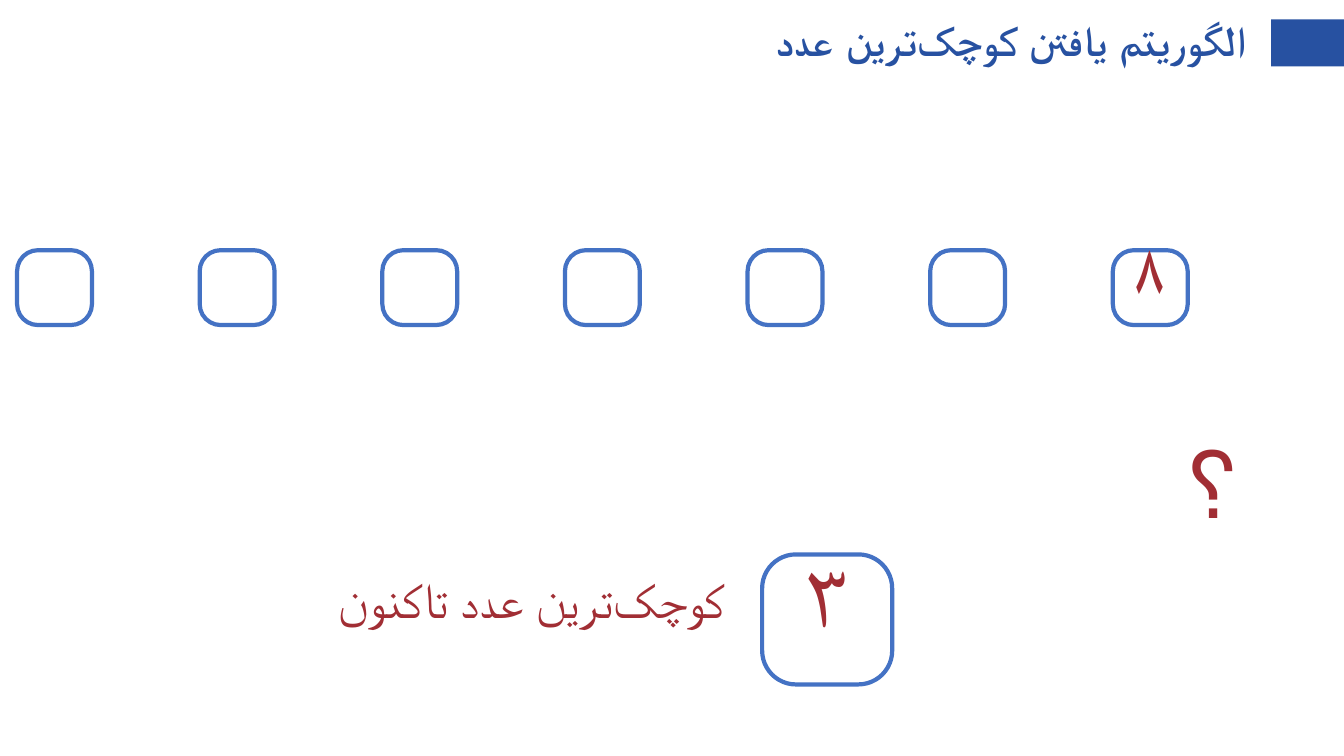
"""Build the slide on finding the smallest number in a row of boxes."""
from dataclasses import dataclass

from lxml.etree import SubElement
from pptx import Presentation
from pptx.dml.color import RGBColor
from pptx.enum.shapes import MSO_SHAPE as Preset
from pptx.enum.text import MSO_ANCHOR as Anchor
from pptx.enum.text import MSO_AUTO_SIZE as AutoSize
from pptx.enum.text import PP_ALIGN as Align
from pptx.oxml.ns import qn
from pptx.slide import Slide
from pptx.util import Pt


@dataclass(frozen=True)
class Theme:
    """Colours, fonts and sizes of the slide."""
    navy: str = "2751A1"
    outline: str = "4472C4"
    red: str = "A12E34"
    white: str = "FFFFFF"
    title_font: str = "Arial"
    body_font: str = "Lato"
    title_size: float = 30.1
    label_size: float = 35
    digit_size: float = 50
    smallest_size: float = 62
    question_size: float = 66
    line_width: float = 3


@dataclass(frozen=True)
class Frame:
    """Position and size in points."""
    left: float
    top: float
    width: float
    height: float

    def lengths(self) -> tuple[Pt, Pt, Pt, Pt]:
        """Return the four lengths for python-pptx."""
        return Pt(self.left), Pt(self.top), Pt(self.width), Pt(self.height)


@dataclass(frozen=True)
class Mark:
    """A red text at a place on the slide."""
    text: str
    frame: Frame
    size: float
    wrap: bool = False


THEME = Theme()
NON_JOINER = chr(0x200C)
SMALLEST = NON_JOINER.join(("کوچک", "ترین"))
CELL_COUNT = 7
CELL_PITCH = 130.45
FIRST_CELL = Frame(12.2, 178.7, 53.5, 53.5)
SMALLEST_CELL = Frame(544.4, 396, 92.9, 92.9)
TITLE_FRAME = Frame(66.2, 3.6, 828, 54)
BANNER_FRAME = Frame(907.9, 13.9, 52.1, 33.5)
MARKS = (
    Mark(f"{SMALLEST} عدد تاکنون", Frame(221, 408.2, 317.5, 69.8), THEME.label_size, True),
    Mark("۸", Frame(802.8, 162.7, 37.4, 85), THEME.digit_size),
    Mark("۳", Frame(567.4, 390.2, 47.5, 104.4), THEME.smallest_size),
    Mark("؟", Frame(851.8, 309.6, 37.4, 110.2), THEME.question_size),
)


def add_banner(page: Slide, frame: Frame) -> None:
    """Draw the solid block beside the title."""
    banner = page.shapes.add_shape(Preset.RECTANGLE, *frame.lengths())
    banner.shadow.inherit = False
    banner.fill.solid()
    banner.fill.fore_color.rgb = RGBColor.from_string(THEME.navy)
    banner.line.fill.background()


def add_cell(page: Slide, frame: Frame, rounding: float) -> None:
    """Draw an outlined rounded cell."""
    cell = page.shapes.add_shape(Preset.ROUNDED_RECTANGLE, *frame.lengths())
    cell.adjustments[0] = rounding
    cell.shadow.inherit = False
    cell.fill.solid()
    cell.fill.fore_color.rgb = RGBColor.from_string(THEME.white)
    cell.line.color.rgb = RGBColor.from_string(THEME.outline)
    cell.line.width = Pt(THEME.line_width)


def add_text(page: Slide, text: str, frame: Frame, *, size: float, color: str = THEME.red,
             font: str = THEME.body_font, bold: bool = False, wrap: bool = False,
             align: Align = Align.CENTER, anchor: Anchor = Anchor.TOP) -> None:
    """Write one right-to-left paragraph in a text box."""
    box = page.shapes.add_textbox(*frame.lengths()).text_frame
    box.word_wrap = wrap
    box.auto_size = AutoSize.NONE if wrap else AutoSize.SHAPE_TO_FIT_TEXT
    box.vertical_anchor = anchor
    box.margin_left = box.margin_right = box.margin_top = box.margin_bottom = Pt(3.6)
    para = box.paragraphs[0]
    para.alignment = align
    para.line_spacing = 0.9
    para._p.get_or_add_pPr().set("rtl", "1")
    span = para.add_run()
    span.text = text
    span.font.name = font
    span.font.size = Pt(size)
    span.font.bold = bold
    span.font.color.rgb = RGBColor.from_string(color)
    SubElement(span._r.get_or_add_rPr(), qn("a:cs")).set("typeface", font)


def main() -> None:
    """Build and save the deck."""
    deck = Presentation()
    deck.slide_width, deck.slide_height = Pt(960), Pt(540)
    page = deck.slides.add_slide(deck.slide_layouts[6])
    add_banner(page, BANNER_FRAME)
    add_text(page, f"الگوریتم یافتن {SMALLEST} عدد", TITLE_FRAME, size=THEME.title_size,
             color=THEME.navy, font=THEME.title_font, bold=True, wrap=True,
             align=Align.RIGHT, anchor=Anchor.MIDDLE)
    for index in range(CELL_COUNT):
        left = FIRST_CELL.left + index * CELL_PITCH
        add_cell(page, Frame(left, FIRST_CELL.top, FIRST_CELL.width, FIRST_CELL.height), 0.28)
    add_cell(page, SMALLEST_CELL, 0.26)
    for mark in MARKS:
        add_text(page, mark.text, mark.frame, size=mark.size, wrap=mark.wrap)
    deck.save("out.pptx")


if __name__ == "__main__":
    main()
